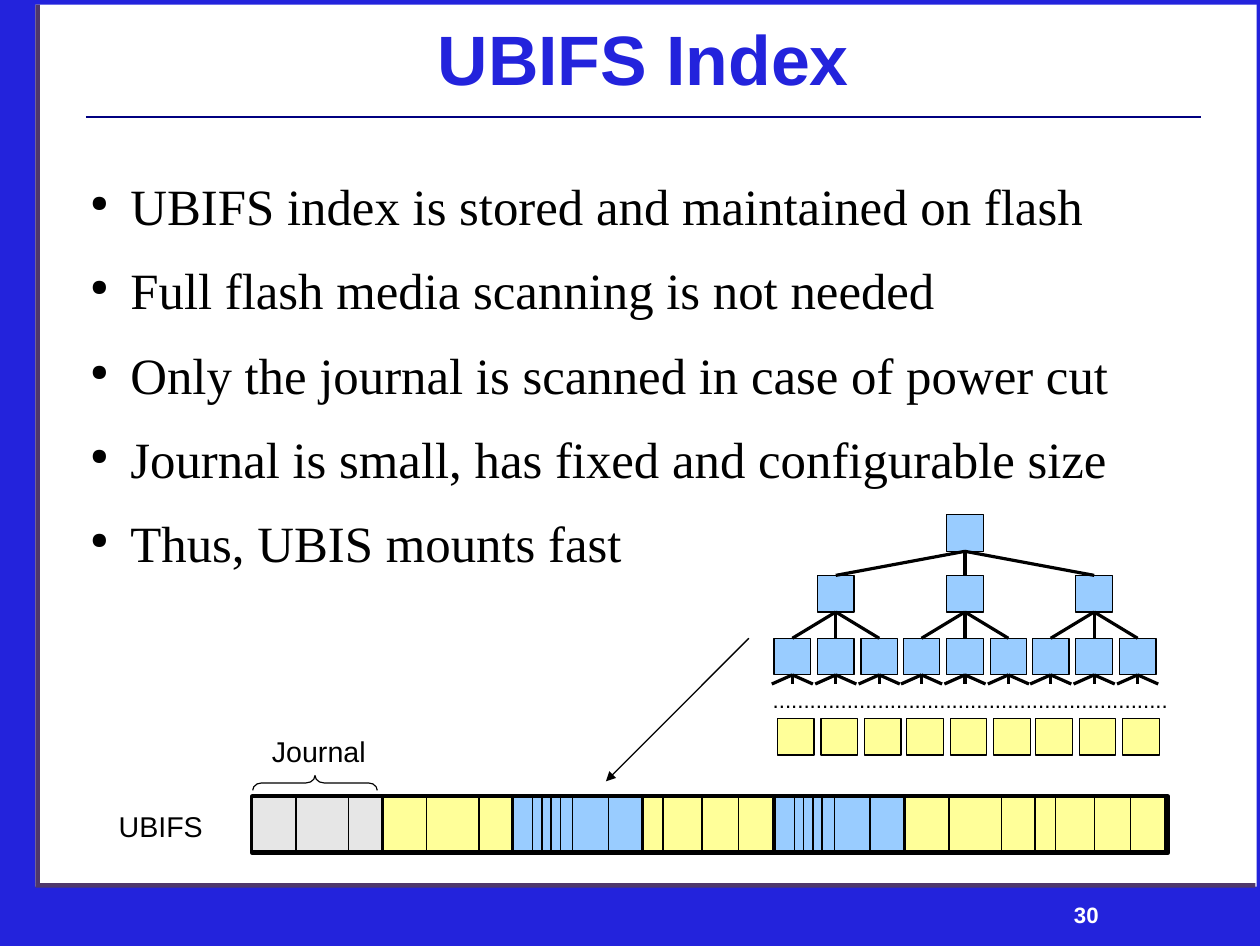
from dataclasses import dataclass
from itertools import pairwise

from lxml.etree import SubElement
from pptx import Presentation
from pptx.dml.color import RGBColor
from pptx.enum.shapes import MSO_CONNECTOR, MSO_SHAPE
from pptx.enum.text import MSO_ANCHOR, MSO_AUTO_SIZE, PP_ALIGN
from pptx.oxml.ns import qn
from pptx.util import Pt

PX = 9144  # 100 px to the inch


@dataclass(frozen=True)
class Theme:
    blue: str = "2323DC"
    shade: str = "4E376B"
    rule: str = "000080"
    ink: str = "000000"
    paper: str = "FFFFFF"
    index: str = "99CCFF"
    data: str = "FFFF99"
    journal: str = "E6E6E6"
    sans: str = "Arial"
    serif: str = "Times New Roman"
    title_size: int = 44
    body_size: int = 32
    label_size: int = 18
    small_size: int = 14
    hairline: float = 0
    arrow_line: float = 0.85
    rule_line: float = 1.42
    block_line: float = 2.83


THEME = Theme()

BULLETS = [
    "UBIFS index is stored and maintained on flash",
    "Full flash media scanning is not needed",
    "Only the journal is scanned in case of power cut",
    "Journal is small, has fixed and configurable size",
    "Thus, UBIS mounts fast",
]

# Cell edges inside one block of the flash bar
WIDE_CELLS = [0, 38, 84, 113]
MIXED_CELLS = [0, 17, 51, 83, 113]
INDEX_CELLS = [0, 17, 25, 33, 41, 52, 83, 113]
FLASH_BLOCKS = [
    (THEME.journal, WIDE_CELLS),
    (THEME.data, WIDE_CELLS),
    (THEME.index, INDEX_CELLS),
    (THEME.data, MIXED_CELLS),
    (THEME.index, INDEX_CELLS),
    (THEME.data, WIDE_CELLS),
    (THEME.data, MIXED_CELLS),
]


def emu(*lengths):
    return [length * PX for length in lengths]


def style_font(para, size, color=THEME.ink, name=THEME.sans, bold=False):
    font = para.font
    font.size, font.name, font.bold = Pt(size), name, bold
    font.color.rgb = RGBColor.from_string(color)


def add_rect(page, box, fill, line=None):
    rect = page.shapes.add_shape(MSO_SHAPE.RECTANGLE, *emu(*box))
    rect.shadow.inherit = False
    rect.fill.solid()
    rect.fill.fore_color.rgb = RGBColor.from_string(fill)
    if line is None:
        rect.line.fill.background()
    else:
        rect.line.color.rgb = RGBColor.from_string(THEME.ink)
        rect.line.width = Pt(line)
    return rect


def add_line(page, start, end, color=THEME.ink, width=THEME.hairline):
    line = page.shapes.add_connector(MSO_CONNECTOR.STRAIGHT, *emu(*start, *end))
    line.line.color.rgb = RGBColor.from_string(color)
    line.line.width = Pt(width)
    SubElement(line._element.spPr, qn("a:effectLst"))
    return line


def clear_margins(frame):
    frame.margin_left = frame.margin_right = frame.margin_top = frame.margin_bottom = 0


def add_label(page, box, text, size):
    frame = page.shapes.add_textbox(*emu(*box)).text_frame
    frame.word_wrap = False
    frame.auto_size = MSO_AUTO_SIZE.SHAPE_TO_FIT_TEXT
    para = frame.paragraphs[0]
    para.text = text
    style_font(para, size)


def draw_frame(page, width, height):
    """Coloured page border, title rule and page number."""
    for box in [
        (0, 775, width, height - 775),
        (0, 0, 31, height),
        (width - 3, 0, 3, height),
        (0, 0, width, 4),
    ]:
        add_rect(page, box, THEME.blue)
    for box in [(31, 772, 1067, 4), (31, 4, 4, 768)]:
        add_rect(page, box, THEME.shade)
    add_line(page, (75, 102), (1050, 102), THEME.rule, THEME.rule_line)

    frame = page.shapes.add_textbox(*emu(825, 775, 250, 36)).text_frame
    # The number is right-aligned inside a narrower text area
    clear_margins(frame)
    frame.margin_right = 114 * PX
    frame.word_wrap = True
    frame.vertical_anchor = MSO_ANCHOR.BOTTOM
    para = frame.paragraphs[0]
    para.text = "30"
    para.alignment = PP_ALIGN.RIGHT
    style_font(para, THEME.small_size, THEME.paper, bold=True)


def fill_title(page, box, text):
    title = page.shapes.title
    title.left, title.top, title.width, title.height = emu(*box)
    frame = title.text_frame
    clear_margins(frame)
    frame.auto_size = MSO_AUTO_SIZE.NONE
    frame.vertical_anchor = MSO_ANCHOR.MIDDLE
    para = frame.paragraphs[0]
    para.text = text
    para.alignment = PP_ALIGN.CENTER
    style_font(para, THEME.title_size, THEME.blue, bold=True)


def add_bullets(page, box, lines):
    frame = page.shapes.add_textbox(*emu(*box)).text_frame
    clear_margins(frame)
    frame.word_wrap = True
    for number, text in enumerate(lines):
        para = frame.add_paragraph() if number else frame.paragraphs[0]
        para.text = text
        para.space_after = Pt(14.5)
        props = para._p.get_or_add_pPr()
        props.set("marL", str(47 * PX))
        props.set("indent", str(-35 * PX))
        SubElement(props, qn("a:buSzPct"), val="45000")
        SubElement(props, qn("a:buChar"), char="●")
        style_font(para, THEME.body_size, name=THEME.serif)


def draw_index_tree(page, left, top):
    """Three index levels over a row of data nodes."""
    side = 32
    columns = [left + round(302 * i / 8) for i in range(9)]

    def add_level(xs, y, fill=THEME.index):
        return [add_rect(page, (x, y, side, side), fill, THEME.hairline) for x in xs]

    root = add_level([columns[4]], top)
    branches = add_level(columns[1::3], top + 53)
    leaves = add_level(columns, top + 108)
    add_level([x + 3 for x in columns], top + 178, THEME.data)

    for parents, children in [(root, branches), (branches, leaves)]:
        for number, child in enumerate(children):
            link = add_line(page, (left, top), (left, top))
            link.begin_connect(parents[number // 3], 2)
            link.end_connect(child, 0)
    for x, leaf in zip(columns, leaves):
        middle, bottom = x + side // 2, top + 108 + side
        for shift in (-18, 0, 18):
            twig = add_line(page, (middle, bottom), (middle + shift, bottom + 8))
            twig.begin_connect(leaf, 2)
    add_label(page, (left - 11, top + 145, 372, 32), "." * 64, THEME.small_size)


def draw_flash_bar(page, left, top, width, height):
    for number, (color, edges) in enumerate(FLASH_BLOCKS):
        x, end = (left + width * n // len(FLASH_BLOCKS) for n in (number, number + 1))
        add_rect(page, (x, top, end - x, height), color, THEME.block_line)
        for start, stop in pairwise(edges):
            cell = (x + start, top + 1, stop - start, height - 3)
            add_rect(page, cell, color, THEME.hairline)
    add_label(page, (left - 127, top + 6, 94, 41), "UBIFS", THEME.label_size)
    add_label(page, (left + 7, top - 59, 102, 38), "Journal", THEME.label_size)

    brace = page.shapes.add_shape(MSO_SHAPE.LEFT_BRACE, *emu(left + 48, top - 66, 13, 109))
    brace.rotation = 90
    brace.adjustments[0] = 0.6
    brace.shadow.inherit = False
    brace.fill.background()
    brace.line.color.rgb = RGBColor.from_string(THEME.ink)
    brace.line.width = Pt(THEME.hairline)


def main():
    deck = Presentation()
    width, height = 1102, 827
    deck.slide_width, deck.slide_height = emu(width, height)
    page = deck.slides.add_slide(deck.slide_layouts[5])
    draw_frame(page, width, height)
    fill_title(page, (67, 1, 992, 99), "UBIFS Index")
    add_bullets(page, (67, 153, 992, 561), BULLETS)
    draw_index_tree(page, 677, 450)
    draw_flash_bar(page, 221, 696, 800, 50)
    arrow = add_line(page, (655, 558), (530, 683), width=THEME.arrow_line)
    SubElement(arrow.line._get_or_add_ln(), qn("a:tailEnd"), type="triangle")
    deck.save("out.pptx")


if __name__ == "__main__":
    main()
